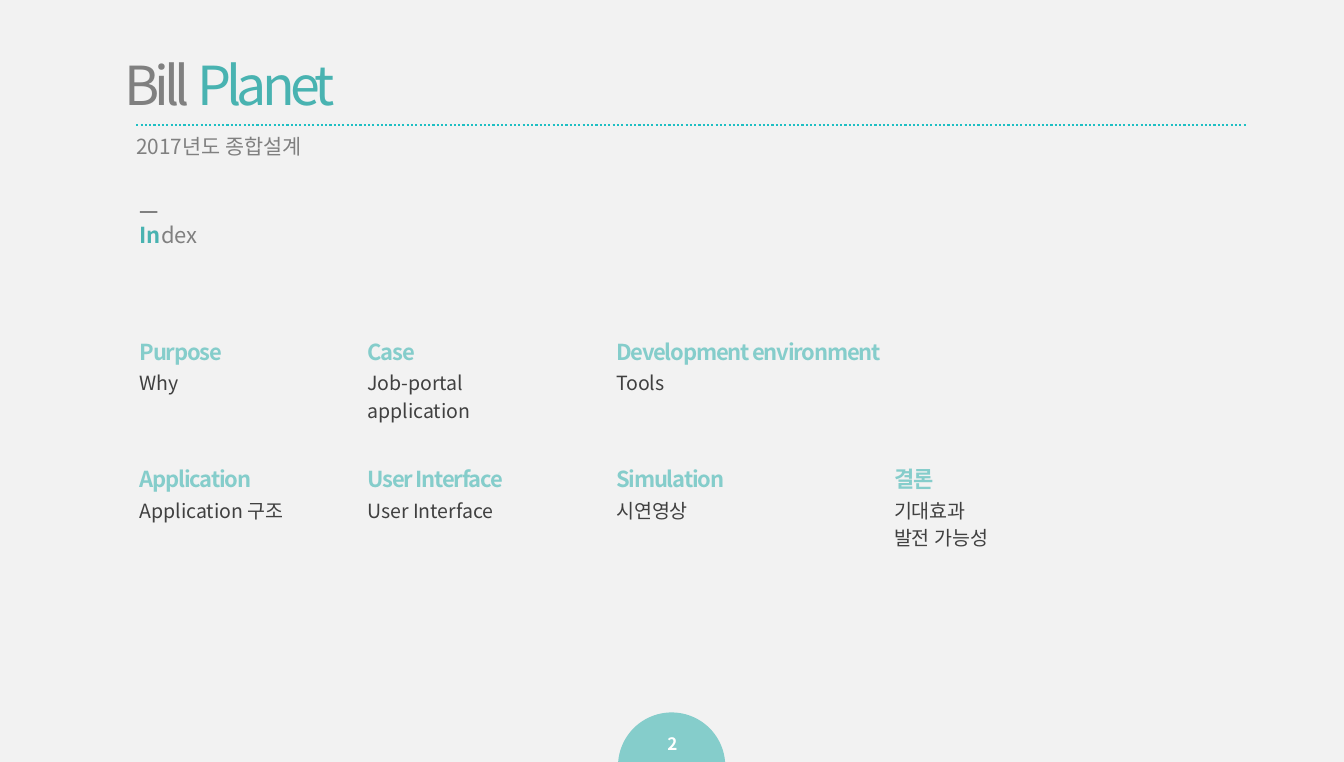
from lxml import etree
from pptx import Presentation
from pptx.dml.color import RGBColor
from pptx.enum.dml import MSO_LINE
from pptx.enum.shapes import MSO_CONNECTOR, MSO_SHAPE
from pptx.enum.text import MSO_ANCHOR, PP_ALIGN
from pptx.oxml.ns import qn
from pptx.util import Inches, Pt

FONT = "Noto Sans CJK KR"
TEAL, LIGHT_TEAL, GRAY, DARK = "49B3B1", "85CDCB", "808080", "404040"
LEFT, CENTER = PP_ALIGN.LEFT, PP_ALIGN.CENTER
TOP, MIDDLE = MSO_ANCHOR.TOP, MSO_ANCHOR.MIDDLE
STRAIGHT, DOTTED = MSO_CONNECTOR.STRAIGHT, MSO_LINE.ROUND_DOT
RECTANGLE, CHORD = MSO_SHAPE.RECTANGLE, MSO_SHAPE.CHORD

SLIDE_WIDTH, SLIDE_HEIGHT = Pt(1100.75), Pt(623.75)
COLUMNS = [1.59, 4.18, 7.01, 10.17]
FIRST_ROW, ROW_STEP = 3.87, 1.45
TOPICS = [
    [
        ("Purpose", 2.43, ["Why"]),
        ("Case", 2.43, ["Job-portal", "application"]),
        ("Development environment", 3.15, ["Tools"]),
    ],
    [
        ("Application", 2.43, ["Application 구조"]),
        ("User Interface", 2.43, ["User Interface"]),
        ("Simulation", 2.43, ["시연영상"]),
        ("결론", 2.43, ["기대효과", "발전 가능성"]),
    ],
]


def color(value):
    """Return the colour for a hex string."""
    return RGBColor.from_string(value)


def add_text(slide, box, lines, size, align=LEFT, anchor=TOP, spacing=0, before=0):
    """Add a text box; each line is a list of (text, colour, bold) runs."""
    shape = slide.shapes.add_textbox(*map(Inches, box))
    frame = shape.text_frame
    frame.word_wrap = True
    frame.vertical_anchor = anchor
    frame.margin_left = frame.margin_right = frame.margin_top = frame.margin_bottom = 0
    for index, line in enumerate(lines):
        paragraph = frame.add_paragraph() if index else frame.paragraphs[0]
        paragraph.alignment = align
        paragraph.space_before = Pt(before)
        for text, fill, bold in line:
            run = paragraph.add_run()
            run.text = text
            run.font.name = FONT
            run.font.size = Pt(size)
            run.font.bold = bold
            run.font.color.rgb = color(fill)
            properties = run.font._element
            etree.SubElement(properties, qn("a:ea")).set("typeface", FONT)
            if spacing:
                properties.set("spc", str(spacing * 100))


def add_filled_shape(slide, kind, box, fill):
    """Add a preset shape with a plain fill and no outline."""
    shape = slide.shapes.add_shape(kind, *map(Inches, box))
    shape.shadow.inherit = False
    shape.fill.solid()
    shape.fill.fore_color.rgb = color(fill)
    shape.line.fill.background()
    return shape


def add_header(slide, left, top):
    """Place the title, dotted rule and subtitle."""
    add_text(slide, (left, top, 2.52, 0.48),
             [[("Bill", GRAY, False), (" Planet", TEAL, False)]],
             44, align=CENTER, anchor=MIDDLE, spacing=-4)
    add_text(slide, (left, top + 0.81, 2.28, 0.29),
             [[("2017년도 종합설계", GRAY, False)]], 17, align=CENTER, anchor=MIDDLE)
    start, height = left + 0.2, top + 0.71
    rule = slide.shapes.add_connector(
        STRAIGHT, *map(Inches, (start, height, start + 12.63, height)))
    rule.line.color.rgb = color("1FBFC3")
    rule.line.width = Pt(1.75)
    rule.line.dash_style = DOTTED
    etree.SubElement(rule._element.spPr, qn("a:effectLst"))


def add_index_label(slide, left, top):
    """Place the short bar and the index label under it."""
    add_filled_shape(slide, RECTANGLE, (left, top, 0.2, 0.02), GRAY)
    add_text(slide, (left, top + 0.12, 4.13, 0.29),
             [[("In", TEAL, True), ("dex", GRAY, False)]], 18)


def add_topic(slide, left, top, heading, width, details):
    """Place one index entry: a heading with its detail lines."""
    add_text(slide, (left, top, width, 0.25), [[(heading, LIGHT_TEAL, True)]],
             18, anchor=MIDDLE, spacing=-1)
    add_text(slide, (left, top + 0.35, 2.43, 0.62),
             [[(detail, DARK, False)] for detail in details], 16, before=3.2)


def add_page_badge(slide, left, top, number):
    """Place the half-round page badge and its number."""
    badge = add_filled_shape(slide, CHORD, (left, top, 1.22, 1.22), LIGHT_TEAL)
    badge.adjustments[0] = 110.57
    badge.adjustments[1] = 213.41
    add_text(slide, (left + 0.34, top + 0.25, 0.56, 0.2),
             [[(number, "FFFFFF", True)]], 14, align=CENTER, anchor=MIDDLE)


def main():
    """Build and save the index slide."""
    presentation = Presentation()
    presentation.slide_width = SLIDE_WIDTH
    presentation.slide_height = SLIDE_HEIGHT
    slide = presentation.slides.add_slide(presentation.slide_layouts[6])
    slide.background.fill.solid()
    slide.background.fill.fore_color.rgb = color("F2F2F2")
    add_page_badge(slide, 7.03, 8.1, "2")
    add_header(slide, 1.35, 0.71)
    add_index_label(slide, COLUMNS[0], 2.4)
    for row, topics in enumerate(TOPICS):
        for left, topic in zip(COLUMNS, topics):
            add_topic(slide, left, FIRST_ROW + row * ROW_STEP, *topic)
    presentation.save("out.pptx")


if __name__ == "__main__":
    main()
